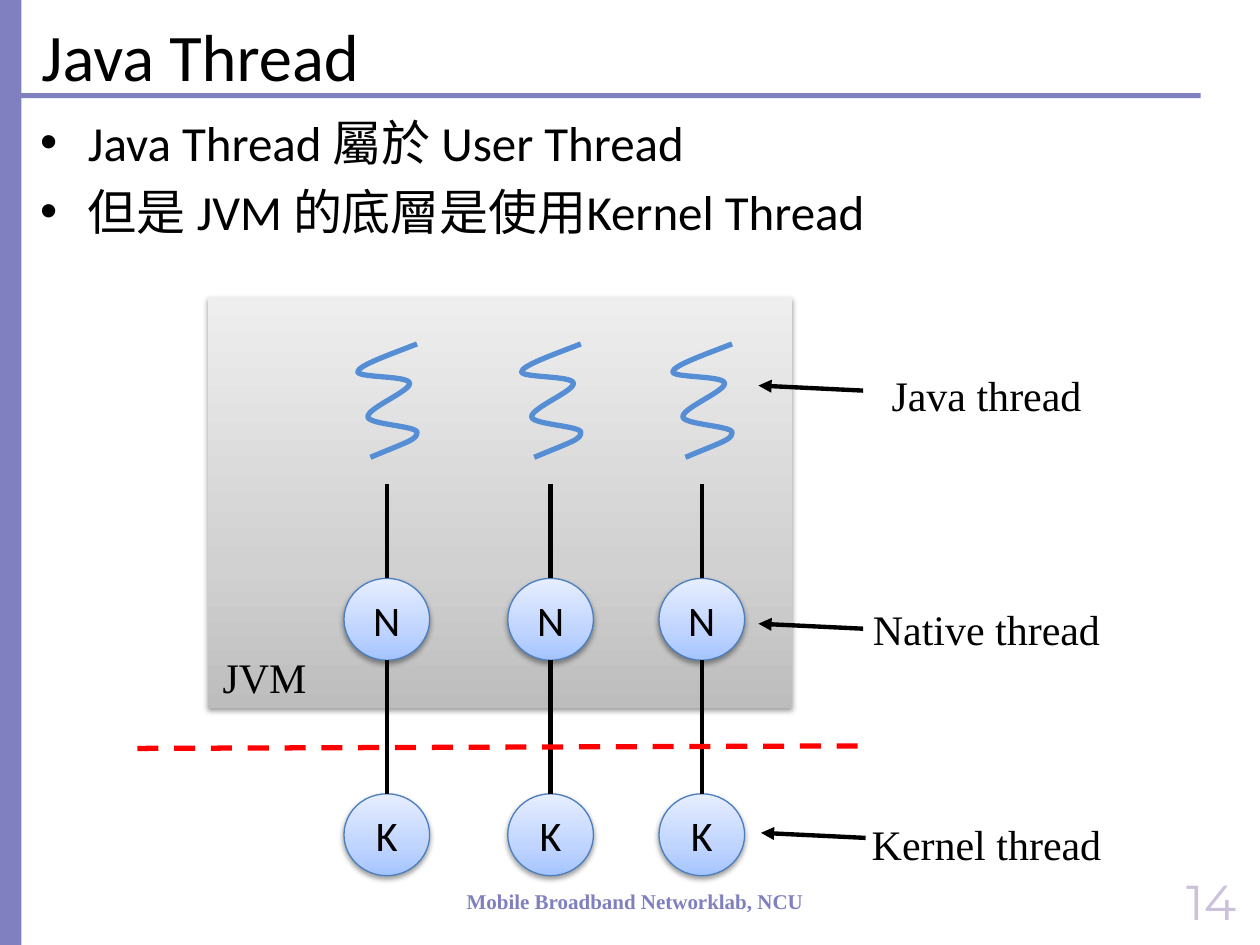
from pptx import Presentation
from pptx.dml.color import RGBColor
from pptx.enum.dml import MSO_LINE
from pptx.enum.shapes import MSO_CONNECTOR, MSO_SHAPE
from pptx.enum.text import MSO_ANCHOR, PP_ALIGN
from pptx.oxml.ns import qn
from pptx.util import Inches, Pt
from lxml import etree

RECTANGLE, OVAL = MSO_SHAPE.RECTANGLE, MSO_SHAPE.OVAL
STRAIGHT, DASH = MSO_CONNECTOR.STRAIGHT, MSO_LINE.DASH
LEFT, CENTER, RIGHT = PP_ALIGN.LEFT, PP_ALIGN.CENTER, PP_ALIGN.RIGHT
TOP, MIDDLE = MSO_ANCHOR.TOP, MSO_ANCHOR.MIDDLE

BLACK = RGBColor(0x00, 0x00, 0x00)
RED = RGBColor(0xFF, 0x00, 0x00)
PURPLE = RGBColor(0x80, 0x80, 0xC0)
LILAC = RGBColor(0xCC, 0xC1, 0xDA)
THREAD_BLUE = RGBColor(0x55, 0x8E, 0xD5)
RIM_BLUE = RGBColor(0x4B, 0x7E, 0xBC)
GREYS = [RGBColor(0xBD, 0xBD, 0xBD), RGBColor(0xD1, 0xD1, 0xD1), RGBColor(0xEE, 0xEE, 0xEE)]
BLUES = [RGBColor(0xA4, 0xC4, 0xFF), RGBColor(0xBF, 0xD4, 0xFF), RGBColor(0xE6, 0xEE, 0xFF)]

SANS, SERIF, NUMERAL = "Calibri", "Times New Roman", "Montserrat"

# Rows and columns of the diagram, in inches
COLUMNS = [3.07, 4.37, 5.57]
JAVA_TOP, LINK_TOP, NATIVE_TOP, KERNEL_TOP = 2.73, 3.84, 4.59, 6.3
NODE_WIDTH, NODE_HEIGHT = 0.68, 0.65

# Start point, then three points for each cubic curve, relative to column and JAVA_TOP
SQUIGGLE = [
    (0.24, 0),
    (0.01, 0.09), (-0.22, 0.17), (-0.23, 0.22),
    (-0.24, 0.27), (0.17, 0.25), (0.18, 0.31),
    (0.2, 0.37), (-0.16, 0.51), (-0.15, 0.58),
    (-0.14, 0.64), (0.23, 0.65), (0.24, 0.7),
    (0.24, 0.76), (0.18, 0.77), (-0.13, 0.9),
]


def add_box(slide, kind, left, top, width, height):
    shape = slide.shapes.add_shape(kind, Inches(left), Inches(top), Inches(width), Inches(height))
    shape.shadow.inherit = False
    shape.line.fill.background()
    return shape


def add_bar(slide, *place):
    bar = add_box(slide, RECTANGLE, *place)
    bar.fill.solid()
    bar.fill.fore_color.rgb = PURPLE


def add_raised(slide, kind, colors, *place):
    """Add a shape with a three-stop gradient, darkest at the bottom, and a soft shadow."""
    shape = add_box(slide, kind, *place)
    shape.fill.gradient()
    shape.fill.gradient_angle = 90
    properties = shape._element.spPr
    stops = properties.find(qn("a:gradFill")).find(qn("a:gsLst"))
    for stop in list(stops):
        stops.remove(stop)
    for position, color in zip((0, 35000, 100000), colors):
        stop = etree.SubElement(stops, qn("a:gs"), pos=str(position))
        etree.SubElement(stop, qn("a:srgbClr"), val=str(color))
    shadow = etree.SubElement(
        properties.find(qn("a:effectLst")), qn("a:outerShdw"),
        blurRad=str(Pt(3.1)), dist=str(Pt(1.6)), dir="5400000", rotWithShape="0")
    shade = etree.SubElement(shadow, qn("a:srgbClr"), val=str(BLACK))
    etree.SubElement(shade, qn("a:alpha"), val="38000")
    return shape


def style_paragraph(paragraph, text, size, font, color=BLACK, align=LEFT, bold=False):
    paragraph.text = text
    paragraph.alignment = align
    paragraph.font.size = Pt(size)
    paragraph.font.name = font
    paragraph.font.color.rgb = color
    paragraph.font.bold = bold


def add_text(slide, place, text, size, font, color=BLACK, align=LEFT,
             bold=False, wrap=True, anchor=TOP, before=0):
    box = slide.shapes.add_textbox(*map(Inches, place))
    frame = box.text_frame
    frame.word_wrap = wrap
    frame.vertical_anchor = anchor
    paragraph = frame.paragraphs[0]
    style_paragraph(paragraph, text, size, font, color, align, bold)
    paragraph.space_before = Pt(before)


def add_bullets(slide, place, lines):
    frame = slide.shapes.add_textbox(*map(Inches, place)).text_frame
    frame.word_wrap = True
    for index, line in enumerate(lines):
        paragraph = frame.add_paragraph() if index else frame.paragraphs[0]
        style_paragraph(paragraph, line, 28, SANS)
        paragraph.space_before = Pt(6)
        properties = paragraph._p.get_or_add_pPr()
        properties.set("marL", str(Inches(0.38)))
        properties.set("indent", str(Inches(-0.38)))
        bullet_font = etree.Element(qn("a:buFont"), typeface="Arial")
        bullet = etree.Element(qn("a:buChar"), char="•")
        defaults = properties.find(qn("a:defRPr"))
        defaults.addprevious(bullet_font)
        defaults.addprevious(bullet)


def add_line(slide, start, end, color=BLACK, width=2.5, arrow=False, dash=None):
    line = slide.shapes.add_connector(STRAIGHT, *map(Inches, (*start, *end)))
    line.line.color.rgb = color
    line.line.width = Pt(width)
    if dash:
        line.line.dash_style = dash
    if arrow:
        etree.SubElement(line.line._get_or_add_ln(), qn("a:tailEnd"), type="triangle")
    etree.SubElement(line._element.spPr, qn("a:effectLst"))


def bend_segments(shape):
    """Turn each three line segments of a freeform into one cubic curve."""
    segments = list(shape._element.iter(qn("a:lnTo")))
    for first in range(0, len(segments), 3):
        curve = etree.Element(qn("a:cubicBezTo"))
        segments[first].addprevious(curve)
        for segment in segments[first:first + 3]:
            curve.append(segment[0])
            segment.getparent().remove(segment)


def add_squiggle(slide, column):
    points = [(Inches(column + x), Inches(JAVA_TOP + y)) for x, y in SQUIGGLE]
    builder = slide.shapes.build_freeform(*points[0])
    builder.add_line_segments(points[1:], close=False)
    shape = builder.convert_to_shape()
    bend_segments(shape)
    shape.shadow.inherit = False
    shape.fill.background()
    shape.line.color.rgb = THREAD_BLUE
    shape.line.width = Pt(3)


def add_node(slide, column, top, letter):
    node = add_raised(slide, OVAL, BLUES, column - NODE_WIDTH / 2, top, NODE_WIDTH, NODE_HEIGHT)
    node.line.color.rgb = RIM_BLUE
    node.line.width = Pt(0.75)
    frame = node.text_frame
    frame.word_wrap = False
    frame.vertical_anchor = MIDDLE
    frame.margin_left = frame.margin_right = frame.margin_top = frame.margin_bottom = 0
    style_paragraph(frame.paragraphs[0], letter, 24, SANS, align=CENTER)


def add_thread_column(slide, column):
    add_squiggle(slide, column)
    add_node(slide, column, NATIVE_TOP, "N")
    add_node(slide, column, KERNEL_TOP, "K")
    add_line(slide, (column, LINK_TOP), (column, NATIVE_TOP))
    add_line(slide, (column, KERNEL_TOP), (column, NATIVE_TOP + NODE_HEIGHT))


def add_label(slide, text, center, top, width, height=0.5):
    add_text(slide, (center - width / 2, top, width, height), text, 24, SERIF,
             align=CENTER, wrap=False, before=4.8)


def main():
    presentation = Presentation()
    presentation.slide_width, presentation.slide_height = Inches(10), Inches(7.5)
    slide = presentation.slides.add_slide(presentation.slide_layouts[6])

    add_bar(slide, 0.12, 0.74, 9.41, 0.04)
    add_bar(slide, -0.08, 0, 0.25, 7.5)
    add_text(slide, (3.59, 7, 2.9, 0.3), "Mobile Broadband Networklab, NCU", 12, SERIF,
             PURPLE, CENTER, bold=True, wrap=False)
    add_raised(slide, RECTANGLE, GREYS, 1.65, 2.36, 4.64, 3.26)
    add_text(slide, (0.23, 0.16, 8.41, 0.55), "Java Thread", 38, SANS, anchor=MIDDLE)
    add_bullets(slide, (0.22, 0.84, 9.54, 1.52),
                ["Java Thread 屬於 User Thread", "但是 JVM 的底層是使用Kernel Thread"])
    add_text(slide, (7.58, 6.95, 2.33, 0.4), "14", 28, NUMERAL, LILAC, RIGHT, anchor=MIDDLE)

    for column in COLUMNS:
        add_thread_column(slide, column)
    add_label(slide, "JVM", 2.1, 5.12, 1)
    for text, top, tip_x, tip_y in [("Java thread", 2.88, 6.02, 3.06),
                                    ("Native thread", 4.74, 6.02, 4.95),
                                    ("Kernel thread", 6.45, 6.04, 6.61)]:
        add_line(slide, (tip_x + 0.83, tip_y + 0.04), (tip_x, tip_y), arrow=True)
        add_label(slide, text, 7.83, top, 2.1)
    add_line(slide, (1.09, 5.94), (6.85, 5.92), RED, 3, dash=DASH)

    presentation.save("out.pptx")


if __name__ == "__main__":
    main()
